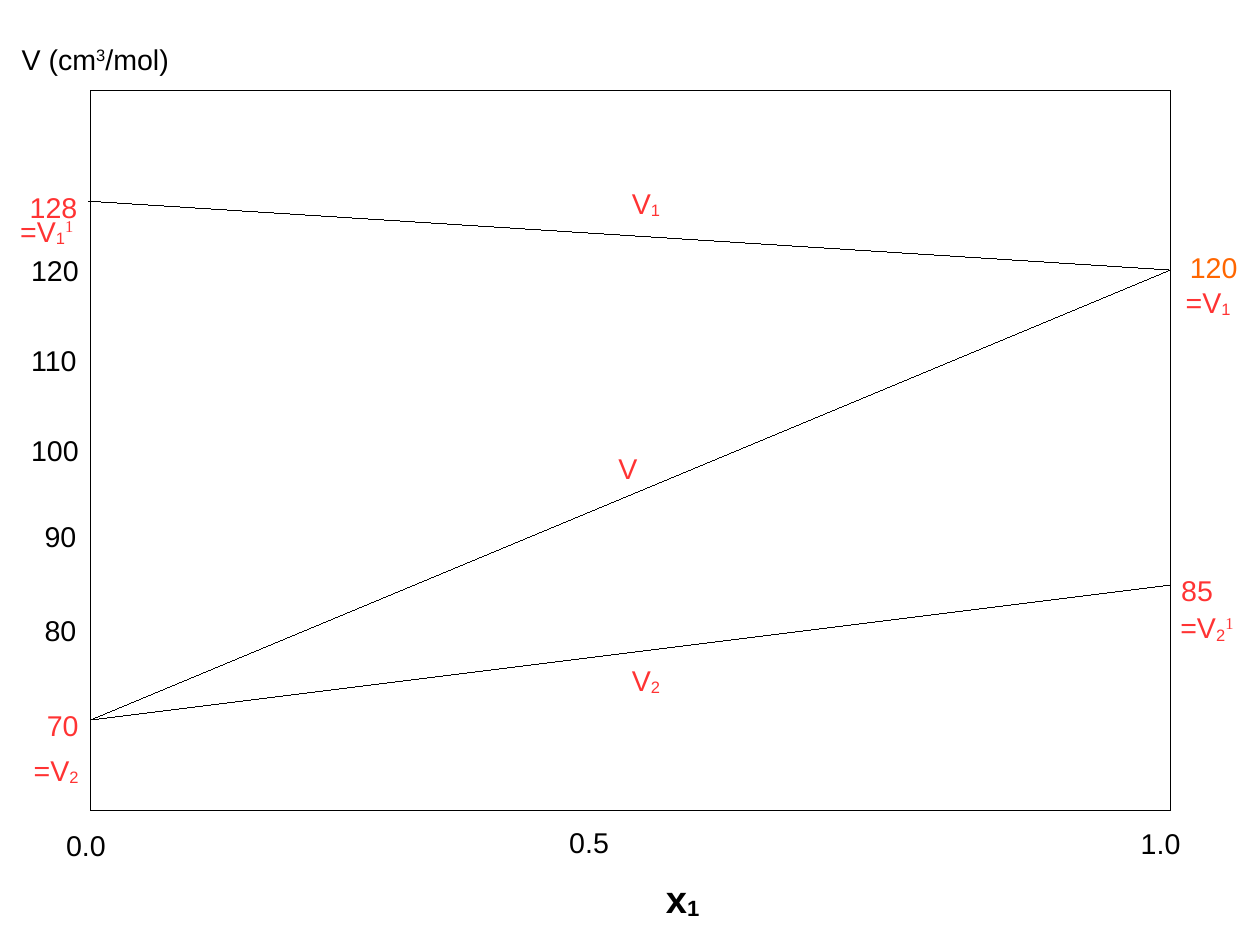
from itertools import pairwise

from lxml.etree import SubElement
from pptx import Presentation
from pptx.dml.color import RGBColor
from pptx.enum.shapes import MSO_CONNECTOR as Connector
from pptx.enum.text import MSO_AUTO_SIZE as AutoSize
from pptx.oxml.ns import qn
from pptx.util import Cm, Pt

COLUMNS, ROWS = 28, 21
BLACK, RED, ORANGE = "000000", "FF3333", "FF6600"
SUB, SUPER = -8000, 33000
HAIRLINE = Pt(0.01)


def color(hex_code):
    return RGBColor.from_string(hex_code)


class Diagram:
    """Draws lines and labels on a slide divided into equal columns and rows."""

    def __init__(self, deck):
        self.slide = deck.slides.add_slide(deck.slide_layouts[6])
        self.column = deck.slide_width / COLUMNS
        self.row = deck.slide_height / ROWS

    def place(self, column, row):
        return round(column * self.column), round(row * self.row)

    def line(self, start, end):
        segment = self.slide.shapes.add_connector(
            Connector.STRAIGHT, *self.place(*start), *self.place(*end))
        segment.line.color.rgb = color(BLACK)
        segment.line.width = HAIRLINE
        SubElement(segment._element.spPr, qn("a:effectLst"))

    def label(self, pieces, column, row, width, height=0.97, ink=BLACK, size=18, bold=False):
        box = self.slide.shapes.add_textbox(
            *self.place(column, row), *self.place(width, height))
        frame = box.text_frame
        frame.word_wrap = False
        frame.auto_size = AutoSize.SHAPE_TO_FIT_TEXT
        for text, shift in pieces:
            run = frame.paragraphs[0].add_run()
            run.text = text
            run.font.size = Pt(size)
            run.font.bold = bold
            run.font.color.rgb = color(ink)
            superscript_mark = shift == SUPER and ink == RED
            run.font.name = "Times New Roman" if superscript_mark else "Arial"
            if shift:
                run.font._element.set("baseline", str(shift))

    def number(self, text, column, row, ink=BLACK):
        width = 0.7 + 0.33 * len(text)
        self.label([(text, 0)], column, row, width, ink=ink)

    def volume(self, text, index, column, row, width, infinite=False):
        pieces = [(text, 0), (index, SUB)]
        if infinite:
            pieces.append(("1", SUPER))
        self.label(pieces, column, row, width, 1.17, RED)


def main():
    deck = Presentation()
    deck.slide_width, deck.slide_height = Cm(COLUMNS), Cm(ROWS)
    diagram = Diagram(deck)

    left, right, top, bottom = 2, 26, 2, 18
    corners = [(left, bottom), (left, top), (right, top), (right, bottom), (left, bottom)]
    for start, end in pairwise(corners):
        diagram.line(start, end)

    pure_first, pure_second = (right, 6), (left, 16)
    diagram.line((1.96, 4.47), pure_first)
    diagram.line(pure_second, pure_first)
    diagram.line(pure_second, (right, 13))

    diagram.label([("V (cm", 0), ("3", SUPER), ("/mol)", 0)], 0.23, 0.81, 3.85)
    diagram.label([("x", 0), ("1", SUB)], 14.55, 19.33, 1.4, 1.47, size=24, bold=True)

    for value, column, row, ink in [
            ("120", 0.44, 5.5, BLACK), ("110", 0.44, 7.5, BLACK), ("100", 0.44, 9.5, BLACK),
            ("90", 0.74, 11.4, BLACK), ("80", 0.74, 13.49, BLACK),
            ("0.0", 1.22, 18.27, BLACK), ("0.5", 12.4, 18.21, BLACK),
            ("1.0", 25.1, 18.24, BLACK),
            ("128", 0.41, 4.09, RED), ("70", 0.79, 15.6, RED),
            ("120", 26.19, 5.44, ORANGE), ("85", 26, 12.6, RED),
            ("V", 13.49, 9.9, RED)]:
        diagram.number(value, column, row, ink)

    diagram.volume("=V", "1", 0.2, 4.62, 1.9, infinite=True)
    diagram.volume("=V", "2", 25.98, 13.44, 1.9, infinite=True)
    diagram.volume("=V", "2", 0.5, 16.61, 1.6)
    diagram.volume("=V", "1", 26.1, 6.2, 1.6)
    diagram.volume("V", "1", 13.79, 4, 1.24)
    diagram.volume("V", "2", 13.79, 14.6, 1.24)

    deck.save("out.pptx")


if __name__ == "__main__":
    main()
